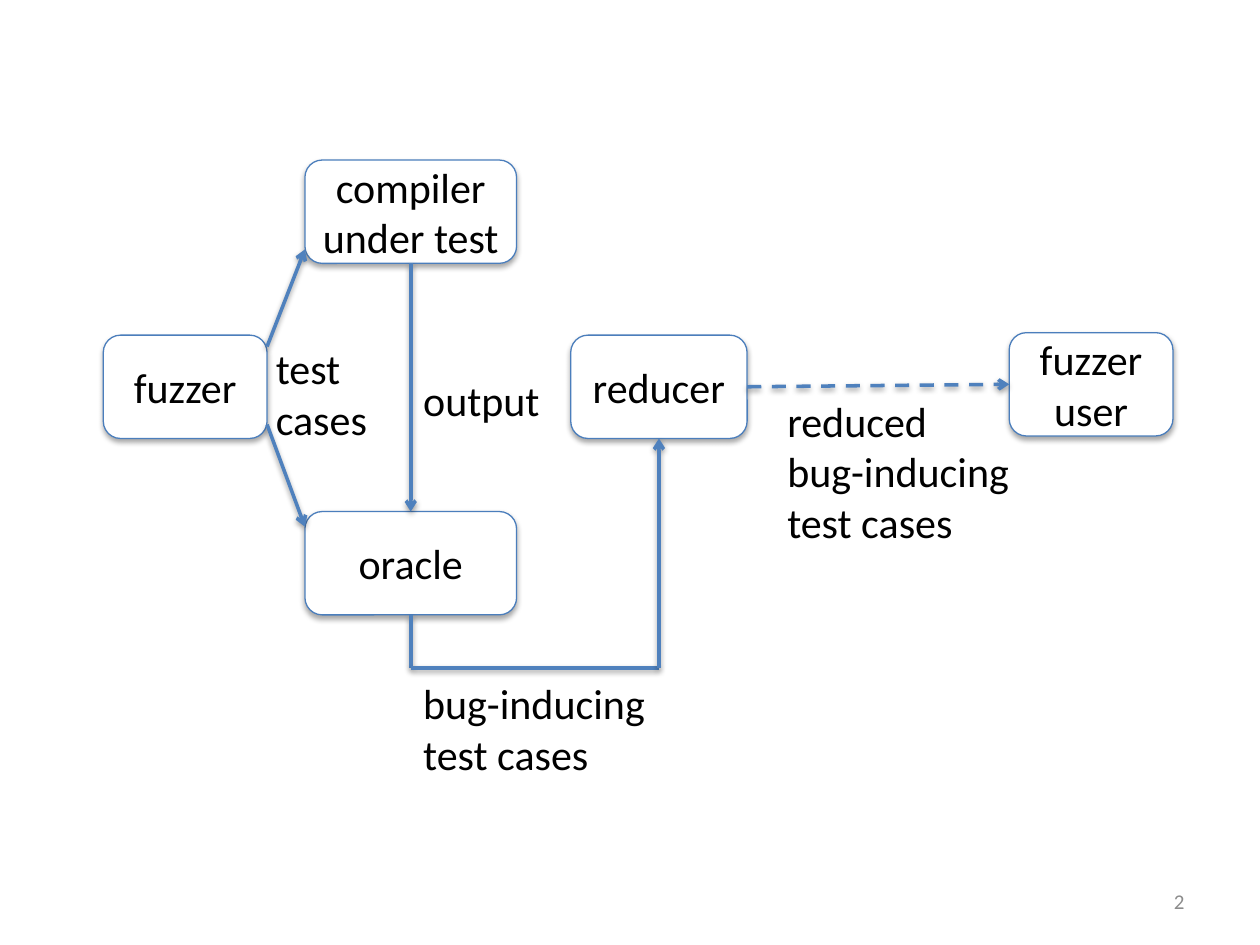
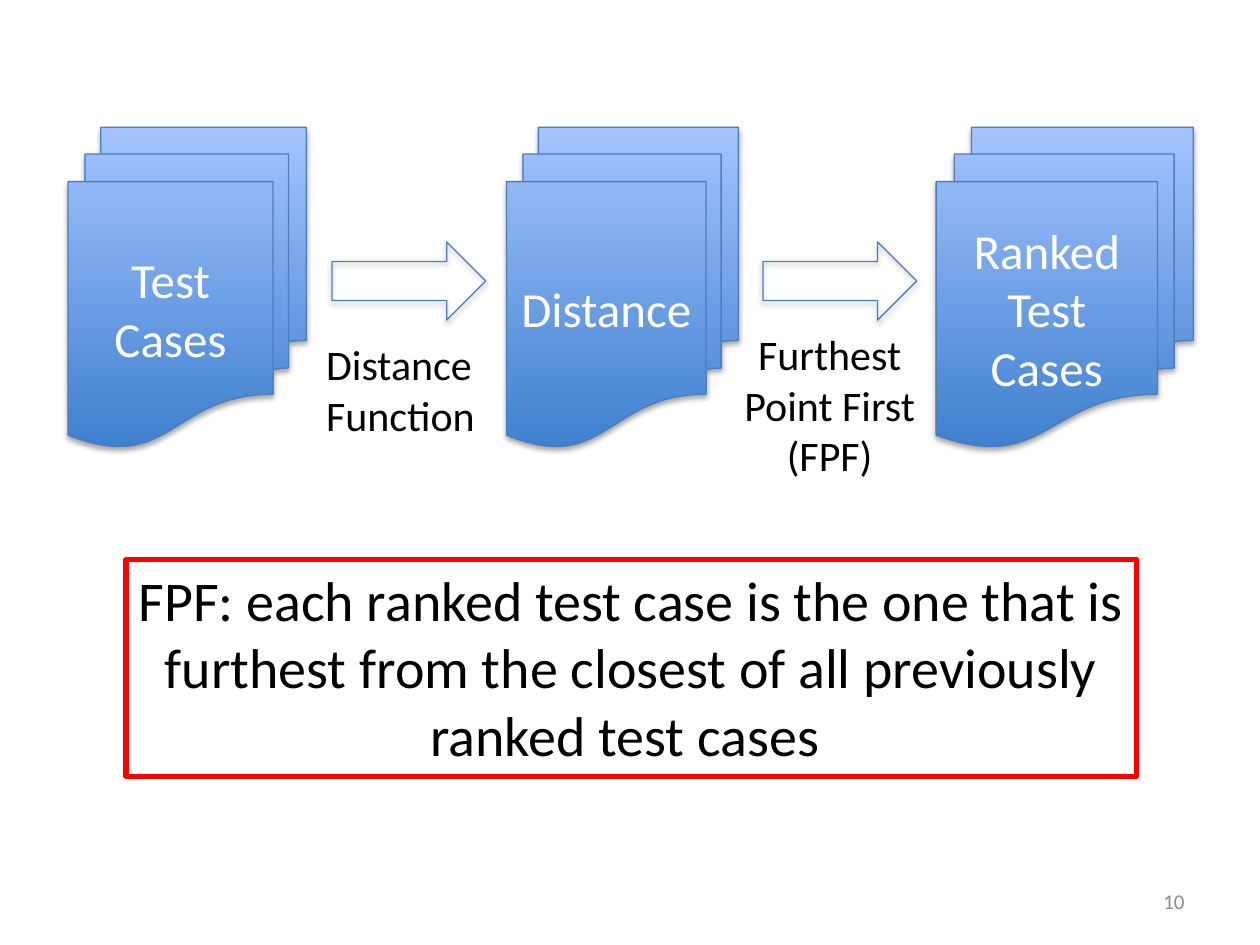
from dataclasses import dataclass

from lxml.etree import SubElement
from pptx import Presentation
from pptx.dml.color import RGBColor as RGB
from pptx.enum.dml import MSO_LINE
from pptx.enum.shapes import MSO_CONNECTOR, MSO_SHAPE as SHAPE
from pptx.enum.text import MSO_ANCHOR as ANCHOR, PP_ALIGN as ALIGN
from pptx.oxml.ns import qn
from pptx.util import Inches, Pt


@dataclass(frozen=True)
class Theme:
    font: str = "Calibri"
    black: str = "000000"
    white: str = "FFFFFF"
    grey: str = "8C8C8C"
    outline: str = "4B7EBC"
    arrow: str = "4F81BD"
    red: str = "FF0000"
    page_deep: str = "3F80CE"
    page_light: str = "A4C4FF"
    number: int = 12
    label: int = 24
    page: int = 28
    callout: int = 32


T = Theme()
WIDTH, HEIGHT = 10, 7.5
TOP, LEFT, BOTTOM, RIGHT = range(4)

# Flow diagram: name -> (text, left, top, width)
BOX_H = 0.82
BOXES = {
    "fuzzer": ("fuzzer", 0.82, 2.66, 1.3),
    "compiler": ("compiler under test", 2.42, 1.27, 1.68),
    "oracle": ("oracle", 2.42, 4.06, 1.68),
    "reducer": ("reducer", 4.53, 2.66, 1.4),
    "user": ("fuzzer user", 8.01, 2.64, 1.3),
}
FLOW_LABELS = [
    (["test", "cases"], 2.09, 2.67, 0.95, 0.91),
    (["output"], 3.26, 2.92, 1.28, 0.5),
    (["bug-inducing test cases"], 3.26, 5.33, 2.15, 0.91),
    (["reduced", "bug-inducing test cases"], 6.15, 3.09, 2.16, 1.31),
]
TURN_Y = 5.3
TURN_LEFT, TURN_RIGHT = (
    (BOXES[name][1] + BOXES[name][3] / 2, TURN_Y) for name in ("oracle", "reducer"))
# Each end is a point or a (box name, side) pair
FLOWS = [
    ((2.12, 2.75), (2.42, 1.98), {}),
    ((2.12, 3.37), (2.42, 4.18), {}),
    (("compiler", BOTTOM), ("oracle", TOP), {}),
    (("oracle", BOTTOM), TURN_LEFT, {"head": False}),
    (TURN_LEFT, TURN_RIGHT, {"head": False}),
    (TURN_RIGHT, ("reducer", BOTTOM), {}),
    (("reducer", RIGHT), ("user", LEFT), {"dash": True}),
]

# Ranking pipeline
PAGES_TOP, PAGES_H = 1.01, 2.54
PAGES = [
    (["Test Cases"], 0.54, 1.89),
    (["Distance"], 4.02, 1.84),
    (["Ranked", "Test Cases"], 7.43, 2.04),
]
STEP_W, STEP_H = 1.22, 0.62
STEP_TOP = PAGES_TOP + (PAGES_H - STEP_H) / 2 - 0.05
STEP_LABELS = [
    (["Distance Function"], 2.49, 2.64, 2.04, 0.91, ALIGN.LEFT),
    (["Furthest Point First (FPF)"], 5.8, 2.56, 1.57, 1.31, ALIGN.CENTER),
]
CALLOUT = ("FPF: each ranked test case is the one that is furthest from "
           "the closest of all previously ranked test cases ")


def inches(*values):
    return [Inches(v) for v in values]


def write(sp, lines, size, color=T.black, align=ALIGN.CENTER, **frame):
    tf = sp.text_frame
    for key, value in {"word_wrap": True, **frame}.items():
        setattr(tf, key, value)
    for i, line in enumerate(lines):
        p = tf.paragraphs[0] if i == 0 else tf.add_paragraph()
        p.alignment = align
        r = p.add_run()
        r.text = line
        for key, value in {"name": T.font, "size": Pt(size)}.items():
            setattr(r.font, key, value)
        r.font.color.rgb = RGB.from_string(color)


def add_label(slide, lines, x, y, w, h, align=ALIGN.LEFT, size=T.label, **kw):
    write(slide.shapes.add_textbox(*inches(x, y, w, h)), lines, size, align=align, **kw)


def set_line(sp, color, width):
    sp.line.color.rgb = RGB.from_string(color)
    sp.line.width = Pt(width)


def cast_shadow(sp, alpha, distance):
    """Add a soft shadow straight below; call after fill and line are set."""
    effects = SubElement(sp._element.spPr, qn("a:effectLst"))
    shadow = SubElement(effects, qn("a:outerShdw"), blurRad="40000",
                        dist=str(distance), dir="5400000", rotWithShape="0")
    black = SubElement(shadow, qn("a:srgbClr"), val=T.black)
    SubElement(black, qn("a:alpha"), val=str(alpha * 1000))


def add_block(slide, kind, x, y, w, h, fill=None):
    """Add an outlined, shadowed shape; a pair of colours fills it bottom to top."""
    sp = slide.shapes.add_shape(kind, *inches(x, y, w, h))
    if fill is None:
        sp.fill.background()
    elif isinstance(fill, tuple):
        sp.fill.gradient()
        sp.fill.gradient_angle = 90
        for stop, position, color in zip(sp.fill.gradient_stops, (0, 1), fill):
            stop.position = position
            stop.color.rgb = RGB.from_string(color)
    else:
        sp.fill.solid()
        sp.fill.fore_color.rgb = RGB.from_string(fill)
    set_line(sp, T.outline, 0.75)
    cast_shadow(sp, 35, 23000)
    return sp


def add_flow(slide, boxes, start, end, head=True, dash=False):
    ends = [(0, 0) if e[0] in boxes else e for e in (start, end)]
    c = slide.shapes.add_connector(MSO_CONNECTOR.STRAIGHT, *inches(*ends[0], *ends[1]))
    for e, connect in ((start, c.begin_connect), (end, c.end_connect)):
        if e[0] in boxes:
            connect(boxes[e[0]], e[1])
    set_line(c, T.arrow, 2)
    if dash:
        c.line.dash_style = MSO_LINE.DASH
    if head:
        SubElement(c.line._get_or_add_ln(), qn("a:tailEnd"), type="arrow")
    cast_shadow(c, 38, 20000)


def new_slide(prs, number):
    slide = prs.slides.add_slide(prs.slide_layouts[6])
    box = slide.shapes.add_textbox(*inches(7.17, 6.95, 2.33, 0.4))
    write(box, [number], T.number, T.grey, ALIGN.RIGHT, vertical_anchor=ANCHOR.MIDDLE)
    return slide


def build_flow(prs):
    slide = new_slide(prs, "2")
    boxes = {}
    for name, (text, x, y, w) in BOXES.items():
        sp = add_block(slide, SHAPE.ROUNDED_RECTANGLE, x, y, w, BOX_H, T.white)
        write(sp, [text], T.label, vertical_anchor=ANCHOR.MIDDLE,
              margin_left=Inches(0.08), margin_right=Inches(0.08))
        boxes[name] = sp
    for start, end, style in FLOWS:
        add_flow(slide, boxes, start, end, **style)
    for label in FLOW_LABELS:
        add_label(slide, *label)


def build_ranking(prs):
    slide = new_slide(prs, "10")
    for lines, x, w in PAGES:
        sp = add_block(slide, SHAPE.FLOWCHART_MULTIDOCUMENT, x, PAGES_TOP, w, PAGES_H,
                       (T.page_deep, T.page_light))
        write(sp, lines, T.page, T.white, vertical_anchor=ANCHOR.MIDDLE)
    for (_, x, w), (_, next_x, _) in zip(PAGES, PAGES[1:]):
        middle = (x + w + next_x) / 2 + 0.02
        add_block(slide, SHAPE.RIGHT_ARROW, middle - STEP_W / 2, STEP_TOP, STEP_W, STEP_H)
    for label in STEP_LABELS:
        add_label(slide, *label)
    w, h = 8.02, 1.72
    sp = slide.shapes.add_shape(SHAPE.RECTANGLE, *inches((WIDTH - w) / 2 + 0.01, 4.44, w, h))
    sp.shadow.inherit = False
    sp.fill.background()
    set_line(sp, T.red, 3)
    write(sp, [CALLOUT], T.callout, vertical_anchor=ANCHOR.TOP)


def main():
    prs = Presentation()
    prs.slide_width, prs.slide_height = inches(WIDTH, HEIGHT)
    build_flow(prs)
    build_ranking(prs)
    prs.save("out.pptx")


if __name__ == "__main__":
    main()
